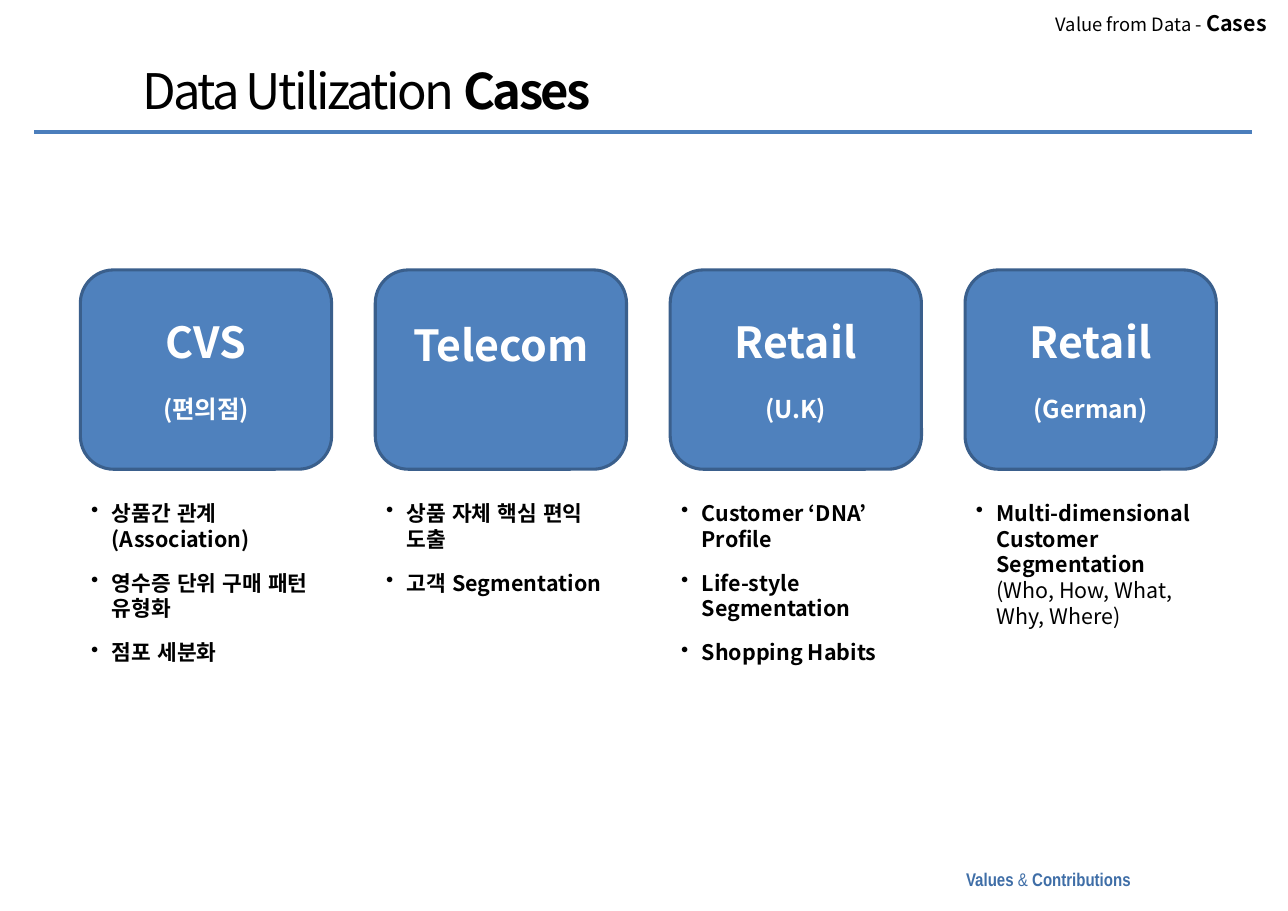
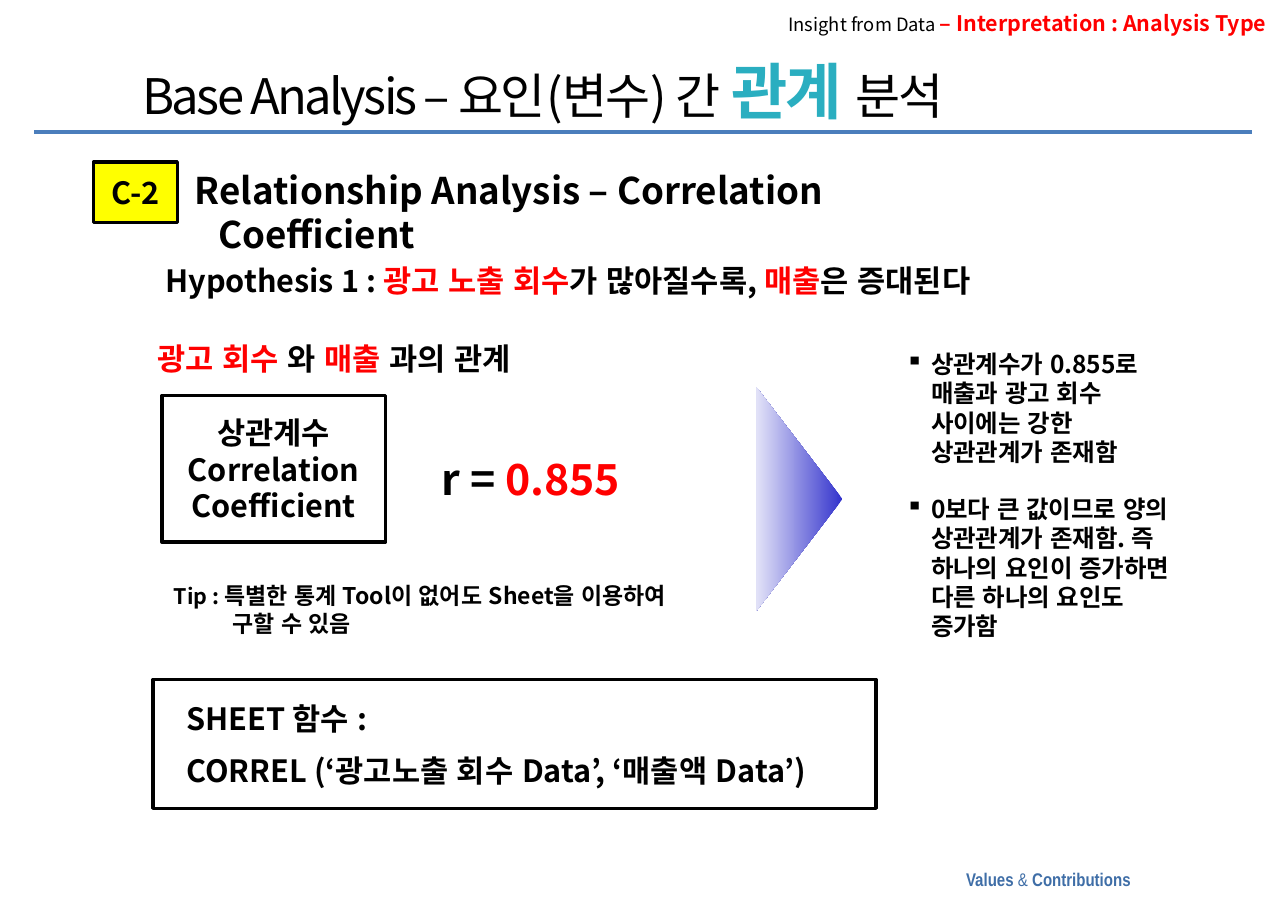
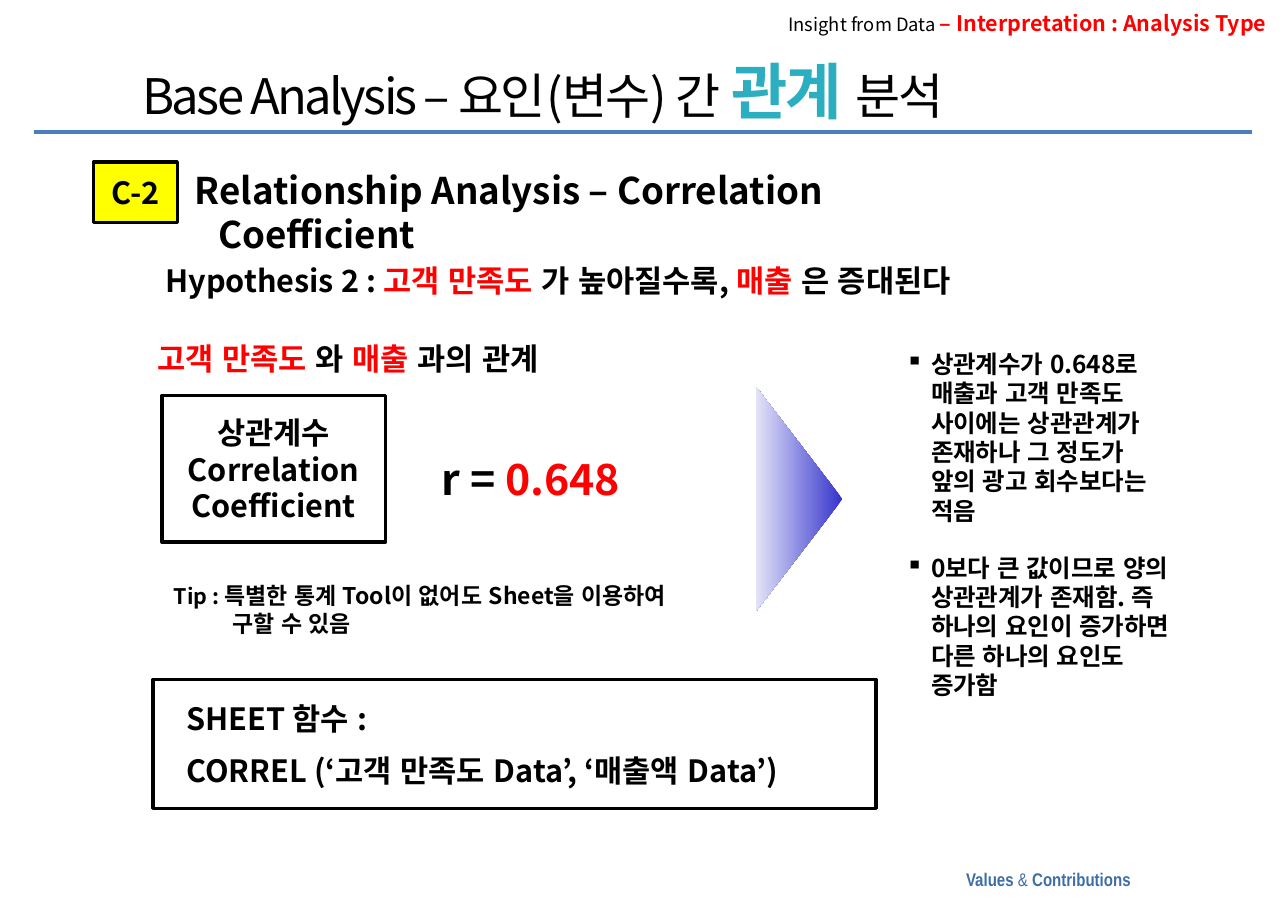
from copy import deepcopy

from lxml import etree
from pptx import Presentation
from pptx.dml.color import RGBColor
from pptx.enum.lang import MSO_LANGUAGE_ID
from pptx.enum.shapes import MSO_CONNECTOR, MSO_SHAPE
from pptx.enum.text import MSO_ANCHOR, PP_ALIGN
from pptx.oxml.ns import qn
from pptx.util import Pt

RECT, ROUND, TRIANGLE = MSO_SHAPE.RECTANGLE, MSO_SHAPE.ROUNDED_RECTANGLE, MSO_SHAPE.ISOSCELES_TRIANGLE
LEFT, CENTER, RIGHT = PP_ALIGN.LEFT, PP_ALIGN.CENTER, PP_ALIGN.RIGHT
TOP, MIDDLE = MSO_ANCHOR.TOP, MSO_ANCHOR.MIDDLE
STRAIGHT = MSO_CONNECTOR.STRAIGHT
KOREAN = MSO_LANGUAGE_ID.KOREAN

COLORS = {
    "black": "000000", "white": "FFFFFF", "red": "FF0000", "yellow": "FFFF00",
    "teal": "2AAEC0", "rule": "4B7EBC", "footer": "3F6EA7",
    "card": "4F81BD", "card_edge": "3A5F8C",
    "arrow_dark": "3333CC", "arrow_light": "E3E3F8",
}
FONT = "Noto Sans CJK KR"
FOOTER_FONT = "Arial Narrow"

# Text styles
BASE = {"name": FONT, "size": 12, "bold": False, "color": "black"}
TITLE = {"size": 32, "spc": -170}
BOLD = {"bold": True}
RED = {"color": "red"}
STRONG20 = {"size": 20, "bold": True}
WIDE = 7.9  # side inset of the analysis boxes


def rgb(name):
    return RGBColor.from_string(COLORS[name])


# Text
def add_run(p, text, fmt):
    fmt = {**BASE, **fmt}
    for i, line in enumerate(text.split("\n")):
        if i:
            p.add_line_break()
            p._p[-1].append(deepcopy(r._r.rPr))
        r = p.add_run()
        r.text = line
        values = {"name": fmt["name"], "size": Pt(fmt["size"]),
                  "bold": fmt["bold"], "language_id": KOREAN}
        for key, value in values.items():
            setattr(r.font, key, value)
        r.font.color.rgb = rgb(fmt["color"])
        ea = etree.SubElement(r._r.rPr, qn("a:ea"))
        ea.set("typeface", fmt["name"])
        if "spc" in fmt:
            r._r.rPr.set("spc", str(fmt["spc"]))


def write(sp, paras, fmt, align=LEFT, anchor=TOP, inset=7.2, bottom=3.6,
          gap=0, left=0, first=0, bullet=None):
    """Each paragraph is a string or a list of (text, format) runs."""
    tf = sp.text_frame
    frame = {"word_wrap": True, "vertical_anchor": anchor,
             "margin_left": Pt(inset), "margin_right": Pt(inset),
             "margin_top": Pt(3.6), "margin_bottom": Pt(bottom)}
    for key, value in frame.items():
        setattr(tf, key, value)
    for i, runs in enumerate(paras):
        p = tf.add_paragraph() if i else tf.paragraphs[0]
        pPr = p._p.get_or_add_pPr()
        pPr.set("marL", str(Pt(left)))
        pPr.set("indent", str(Pt(first)))
        if bullet:
            etree.SubElement(pPr, qn("a:buChar")).set("char", bullet)
        p.alignment = align
        if i:
            p.space_before = Pt(gap)
        for text, extra in [(runs, {})] if isinstance(runs, str) else runs:
            add_run(p, text, {**fmt, **extra})


def add_text(s, box, paras, fmt, **layout):
    write(s.shapes.add_textbox(*map(Pt, box)), paras, fmt, **layout)


def add_bullets(s, box, items, size, gap, hang, char, inset=7.2):
    add_text(s, box, items, {"size": size, "bold": True}, gap=gap,
             left=hang, first=-hang, bullet=char, inset=inset)


# Shapes
def add_box(s, kind, box, fill=None, edge=None, width=2.25):
    sp = s.shapes.add_shape(kind, *map(Pt, box))
    sp.shadow.inherit = False
    if fill:
        sp.fill.solid()
        sp.fill.fore_color.rgb = rgb(fill)
    else:
        sp.fill.background()
    if edge:
        sp.line.color.rgb = rgb(edge)
        sp.line.width = Pt(width)
    else:
        sp.line.fill.background()
    return sp


def add_arrow(s):
    sp = add_box(s, TRIANGLE, (449.3, 298.1, 146.2, 56.2))
    sp.rotation = 90
    sp.fill.gradient()
    sp.fill.gradient_angle = 270
    for stop, name in zip(sp.fill.gradient_stops, ("arrow_dark", "arrow_light")):
        stop.color.rgb = rgb(name)
    for stop, position in zip(sp.fill.gradient_stops, (0, 1)):
        stop.position = position


# Frame shared by all slides
def add_slide(prs, title, crumb):
    s = prs.slides.add_slide(prs.slide_layouts[6])
    rule = s.shapes.add_connector(STRAIGHT, Pt(22.5), Pt(86.4), Pt(818), Pt(86.4))
    rule.line.color.rgb = rgb("rule")
    rule.line.width = Pt(3)
    etree.SubElement(rule._element.spPr, qn("a:effectLst"))
    add_text(s, (570.2, 563.8, 178.6, 21.6),
             [[("Values ", BOLD), ("& ", {}), ("Contributions ", BOLD)]],
             {"name": FOOTER_FONT, "color": "footer"}, align=RIGHT)
    add_text(s, (85, 36, 733, 45.4), [title], TITLE, anchor=MIDDLE, inset=WIDE)
    add_text(s, (471, 2.9, 363.9, 24.5), [crumb], {}, align=RIGHT)
    return s


# Slide kinds
def add_cases(prs, cases):
    s = add_slide(prs, [("Data Utilization ", {}), ("Cases", BOLD)],
                  [("Value from Data - ", {}), ("Cases", {"size": 14, "bold": True})])
    width, pitch = 164.2, 192.72
    for i, (name, note, items) in enumerate(cases):
        x = 52.5 + i * pitch
        card = add_box(s, ROUND, (x, 176.4, width, 130.3), "card", "card_edge", 2)
        paras = [name] + ([[(note, {"size": 16})]] if note else [])
        write(card, paras, {"size": 28, "bold": True, "color": "white"}, align=CENTER,
              anchor=MIDDLE, gap=18, bottom=3.6 if note else 36.9)
        add_bullets(s, (x, 323.3, width, 133), items, 14, 12, 13.5, "•")


def add_correlation(prs, hypothesis, relation, r_value, findings, factor):
    s = add_slide(prs,
                  [("Base Analysis – 요인(변수) 간 ", {}),
                   ("관계 ", {"size": 40, "color": "teal", "bold": True}), ("분석", {})],
                  [("Insight from Data ", {}),
                   ("– Interpretation : Analysis Type",
                    {"size": 14, "color": "red", "bold": True})])

    # Heading and hypothesis
    badge = add_box(s, RECT, (61.2, 105.8, 54.7, 39.6), "yellow", "black")
    write(badge, ["C-2"], STRONG20, align=CENTER, anchor=MIDDLE, inset=WIDE)
    add_text(s, (119.5, 105.8, 558, 36.7),
             ["Relationship Analysis – Correlation Coefficient"],
             {"size": 24, "bold": True}, inset=WIDE, left=15.1, first=-15.1)
    add_text(s, (100.1, 167.8, 691.9, 32.4), [hypothesis], STRONG20,
             inset=WIDE, left=69.8, first=-69.8)

    # Coefficient
    add_text(s, (95, 218.9, 326.9, 32.4), [relation], STRONG20,
             inset=WIDE, left=16.6, first=-16.6)
    label = add_box(s, RECT, (105.8, 258.5, 146.2, 95.8), edge="black")
    write(label, ["상관계수 Correlation Coefficient"], STRONG20,
          align=CENTER, anchor=MIDDLE, inset=WIDE)
    add_text(s, (280.8, 292.3, 173.5, 41.8), [[("r = ", {}), (r_value, RED)]],
             {"size": 28, "bold": True}, inset=WIDE, left=15.1, first=-15.1)
    add_text(s, (105.8, 376.6, 357.1, 43.9),
             [[("Tip : ", {"size": 14}),
               ("특별한 통계 Tool이 없어도 Sheet을 이용하여 구할 수 있음", {})]],
             {"size": 15, "bold": True}, inset=WIDE, left=38.2, first=-38.2)

    # Findings
    add_arrow(s)
    add_bullets(s, (583.9, 224.6, 191.5, 239), findings, 16, 18, 16.6, "▪", WIDE)

    # Spreadsheet function
    formula = add_box(s, RECT, (100.1, 444.2, 472.3, 84.2), "white", "black")
    write(formula, ["SHEET 함수 :", f"CORREL (‘{factor} Data’, ‘매출액 Data’)"],
          STRONG20, anchor=MIDDLE, inset=WIDE, gap=10, first=13.7)


def main():
    prs = Presentation()
    prs.slide_width, prs.slide_height = Pt(841.68), Pt(595.44)

    add_cases(prs, [
        ("CVS", "(편의점)", ["상품간 관계\n(Association)",
                          "영수증 단위 구매 패턴\n유형화", "점포 세분화"]),
        ("Telecom", None, ["상품 자체 핵심 편익 도출", "고객 Segmentation"]),
        ("Retail", "(U.K)", ["Customer ‘DNA’ Profile", "Life-style Segmentation",
                             "Shopping Habits"]),
        ("Retail", "(German)", [[("Multi-dimensional Customer Segmentation \n", {}),
                                 ("(Who, How, What, Why, Where)", {"bold": False})]]),
    ])

    positive = ("0보다 큰 값이므로 양의 상관관계가 존재함. "
                "즉 하나의 요인이 증가하면 다른 하나의 요인도 증가함")
    add_correlation(
        prs,
        [("Hypothesis 1 : ", {}), ("광고 노출 회수", RED), ("가 많아질수록, ", {}),
         ("매출", RED), ("은 증대된다", {})],
        [("광고 회수 ", RED), ("와 ", {}), ("매출", RED), (" 과의 관계", {})],
        "0.855",
        ["상관계수가 0.855로 매출과 광고 회수 사이에는 강한 상관관계가 존재함", positive],
        "광고노출 회수")
    add_correlation(
        prs,
        [("Hypothesis 2 : ", {}), ("고객 만족도 ", RED), ("가 높아질수록, ", {}),
         ("매출 ", RED), ("은 증대된다", {})],
        [("고객 만족도 ", RED), ("와 ", {}), ("매출", RED), (" 과의 관계", {})],
        "0.648",
        ["상관계수가 0.648로 매출과 고객 만족도 사이에는 상관관계가 존재하나 "
         "그 정도가 앞의 광고 회수보다는 적음", positive],
        "고객 만족도")

    prs.save("out.pptx")


if __name__ == "__main__":
    main()
